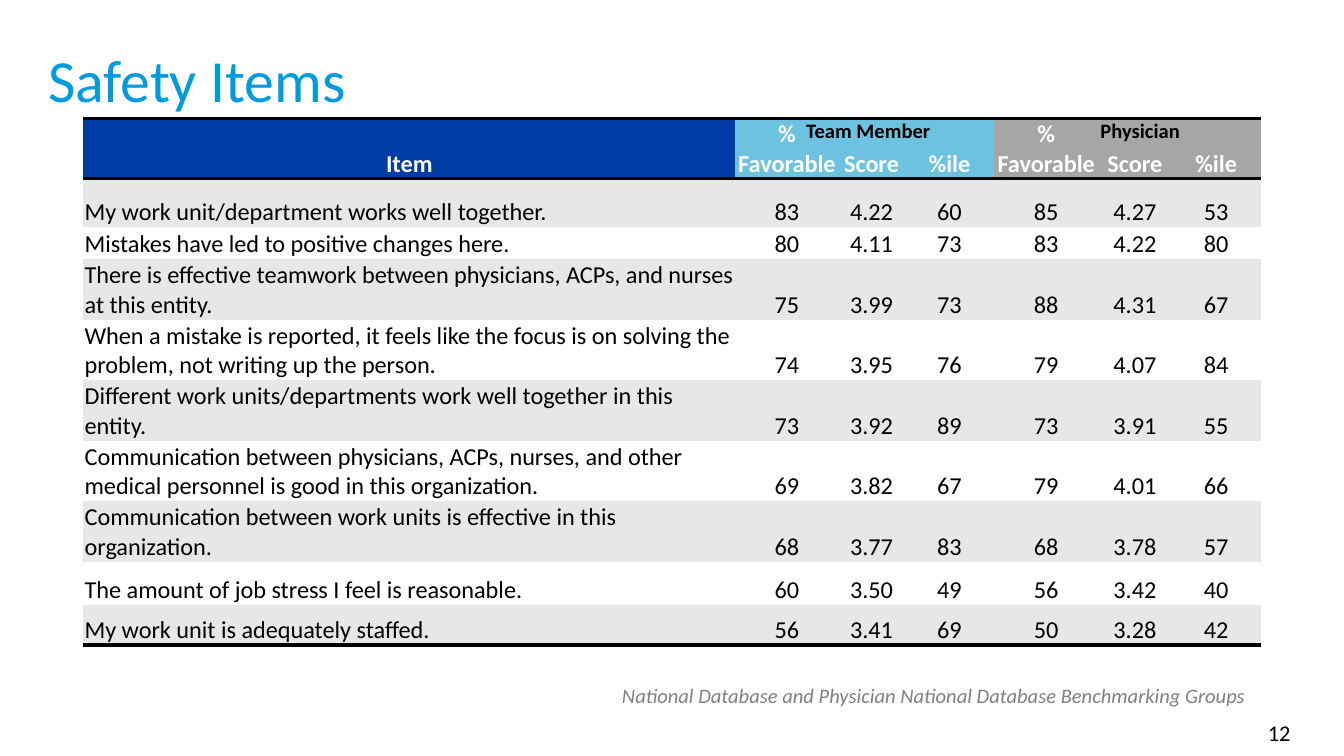
import dataclasses

import lxml.etree
import pptx
import pptx.dml.color
import pptx.enum.text
import pptx.oxml.ns
import pptx.util

Inches = pptx.util.Inches
Pt = pptx.util.Pt
ALIGN = pptx.enum.text.PP_ALIGN
ANCHOR = pptx.enum.text.MSO_ANCHOR

COLORS = {
    "title": "009ADF",
    "item": "003CA5",
    "team": "6DC3DF",
    "physician": "A6A6A6",
    "band": "E7E7E7",
    "white": "FFFFFF",
    "black": "000000",
    "source": "808080",
}
FONT = "Calibri"
NO_GRID_STYLE = "{2D5ABB26-0587-4C30-8999-92F81FD0307C}"


@dataclasses.dataclass(frozen=True)
class Label:
    text: str
    left: float
    top: float
    width: float
    height: float
    size: int
    color: str = "black"
    bold: bool = False
    italic: bool = False
    align: ALIGN = ALIGN.LEFT
    anchor: ANCHOR = ANCHOR.TOP
    wrap: bool = True
    margin_bottom: float = 0.05


@dataclasses.dataclass(frozen=True)
class Column:
    heading: str
    width: float
    color: str


@dataclasses.dataclass(frozen=True)
class SafetyItem:
    statement: str
    scores: str
    height: float = 0.45


LABELS = [
    Label("Safety Items", 0.26, 0.27, 9.64, 0.72, 32, "title",
          anchor=ANCHOR.MIDDLE, margin_bottom=0.14),
    Label("Team Member", 5.9, 0.83, 1.79, 0.29, 11, bold=True),
    Label("Physician", 8.09, 0.83, 0.8, 0.29, 11, bold=True),
    Label("National Database and Physician National Database Benchmarking Groups",
          4.53, 5.03, 4.9, 0.29, 11, "source", italic=True, wrap=False),
    Label("12", 8.48, 5.3, 1.22, 0.3, 12, align=ALIGN.RIGHT),
]

COLUMNS = [
    Column("Item", 4.85, "item"),
    Column("% Favorable", 0.77, "team"),
    Column("Score", 0.49, "team"),
    Column("%ile", 0.67, "team"),
    Column("% Favorable", 0.77, "physician"),
    Column("Score", 0.55, "physician"),
    Column("%ile", 0.66, "physician"),
]

HEADER_HEIGHT = 0.45
ITEMS = [
    SafetyItem("My work unit/department works well together.",
               "83 4.22 60 85 4.27 53", 0.36),
    SafetyItem("Mistakes have led to positive changes here.",
               "80 4.11 73 83 4.22 80", 0.24),
    SafetyItem("There is effective teamwork between physicians, ACPs, and nurses at this entity.",
               "75 3.99 73 88 4.31 67"),
    SafetyItem("When a mistake is reported, it feels like the focus is on solving the problem, "
               "not writing up the person.", "74 3.95 76 79 4.07 84"),
    SafetyItem("Different work units/departments work well together in this entity.",
               "73 3.92 89 73 3.91 55"),
    SafetyItem("Communication between physicians, ACPs, nurses, and other medical personnel "
               "is good in this organization.", "69 3.82 67 79 4.01 66"),
    SafetyItem("Communication between work units is effective in this organization.",
               "68 3.77 83 68 3.78 57"),
    SafetyItem("The amount of job stress I feel is reasonable.",
               "60 3.50 49 56 3.42 40", 0.32),
    SafetyItem("My work unit is adequately staffed.",
               "56 3.41 69 50 3.28 42", 0.3),
]


def rgb(color: str) -> pptx.dml.color.RGBColor:
    return pptx.dml.color.RGBColor.from_string(COLORS[color])


def style_paragraph(paragraph, size: int, color: str, align: ALIGN,
                    bold: bool = False, italic: bool = False) -> None:
    paragraph.alignment = align
    font = paragraph.font
    font.name = FONT
    font.size = Pt(size)
    font.bold = bold
    font.italic = italic
    font.color.rgb = rgb(color)


def add_label(slide, label: Label) -> None:
    box = slide.shapes.add_textbox(Inches(label.left), Inches(label.top),
                                   Inches(label.width), Inches(label.height))
    frame = box.text_frame
    frame.word_wrap = label.wrap
    frame.vertical_anchor = label.anchor
    frame.margin_bottom = Inches(label.margin_bottom)
    frame.text = label.text
    style_paragraph(frame.paragraphs[0], label.size, label.color, label.align,
                    label.bold, label.italic)


def add_border(cell, side: str) -> None:
    qn = pptx.oxml.ns.qn
    line = lxml.etree.Element(qn(f"a:ln{side}"), w=str(Pt(2)))
    fill = lxml.etree.SubElement(line, qn("a:solidFill"))
    lxml.etree.SubElement(fill, qn("a:srgbClr"), val=COLORS["black"])
    cell._tc.get_or_add_tcPr().insert(0, line)


def fill_cell(cell, text: str, fill: str, color: str, align: ALIGN,
              bold: bool, borders: str) -> None:
    cell.margin_left = cell.margin_right = cell.margin_top = Inches(0.01)
    cell.margin_bottom = 0
    cell.vertical_anchor = ANCHOR.BOTTOM
    cell.fill.solid()
    cell.fill.fore_color.rgb = rgb(fill)
    cell.text = text
    style_paragraph(cell.text_frame.paragraphs[0], 13, color, align, bold)
    for side in borders:
        add_border(cell, side)


def add_score_table(slide) -> None:
    heights = [HEADER_HEIGHT] + [item.height for item in ITEMS]
    widths = [column.width for column in COLUMNS]
    table = slide.shapes.add_table(len(heights), len(widths), Inches(0.62), Inches(0.88),
                                   Inches(sum(widths)), Inches(sum(heights))).table
    table.horz_banding = False
    table._tbl.tblPr.find(pptx.oxml.ns.qn("a:tableStyleId")).text = NO_GRID_STYLE
    for row, height in zip(table.rows, heights):
        row.height = Inches(height)
    for index, column in enumerate(COLUMNS):
        table.columns[index].width = Inches(column.width)
        fill_cell(table.cell(0, index), column.heading, column.color, "white",
                  ALIGN.CENTER, True, "BT")
    for row_index, item in enumerate(ITEMS, start=1):
        fill = "band" if row_index % 2 else "white"
        borders = "B" if row_index == len(ITEMS) else ""
        for index, text in enumerate([item.statement, *item.scores.split()]):
            align = ALIGN.CENTER if index else ALIGN.LEFT
            fill_cell(table.cell(row_index, index), text, fill, "black", align, False, borders)


def main() -> None:
    presentation = pptx.Presentation()
    presentation.slide_width = Inches(10)
    presentation.slide_height = Inches(10) * 9 // 16
    slide = presentation.slides.add_slide(presentation.slide_layouts[6])
    title, *annotations = LABELS
    add_label(slide, title)
    add_score_table(slide)
    for annotation in annotations:
        add_label(slide, annotation)
    presentation.save("out.pptx")


if __name__ == "__main__":
    main()
